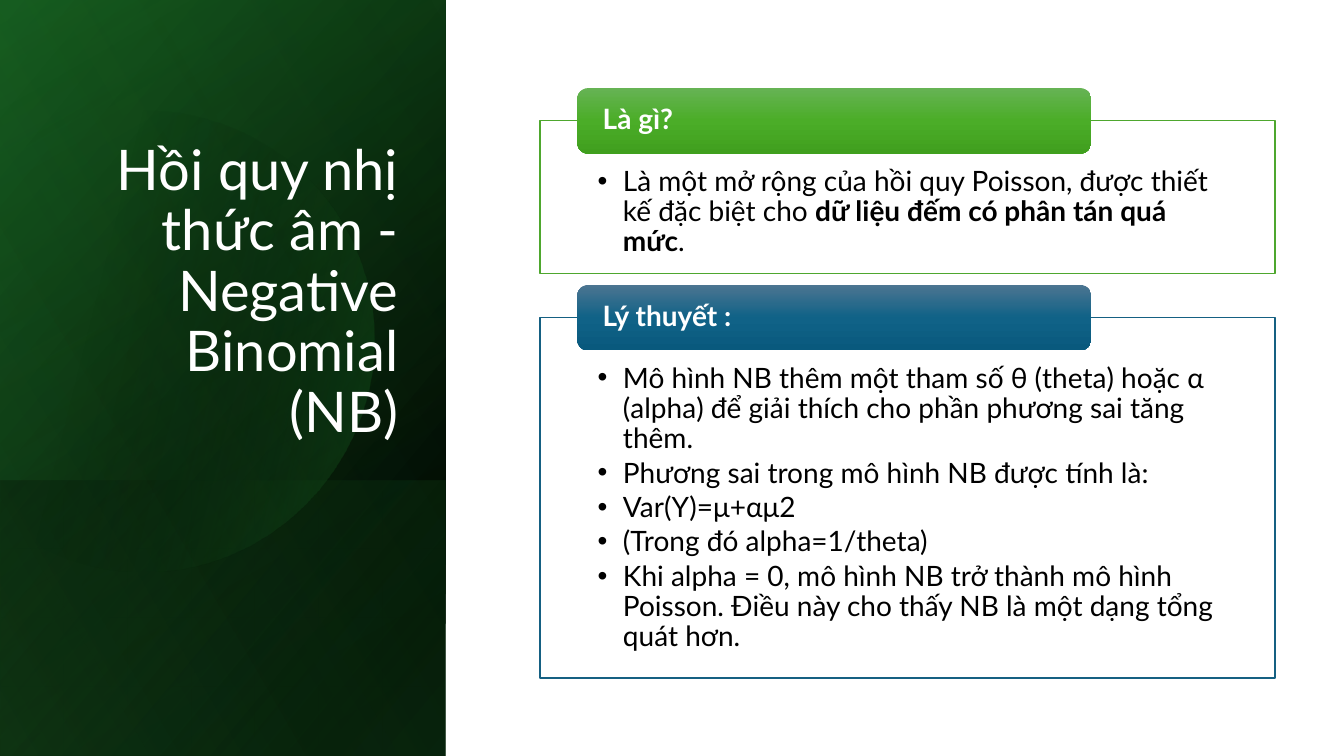
import pptx
import pptx.util
import pptx.dml.color
import pptx.enum.shapes
import pptx.enum.text
import pptx.oxml.ns
from lxml import etree
from pptx.util import Cm, Pt

SHAPES = pptx.enum.shapes.MSO_SHAPE
ALIGN = pptx.enum.text.PP_ALIGN
ANCHOR = pptx.enum.text.MSO_ANCHOR
qn = pptx.oxml.ns.qn


def color(hex_value):
    return pptx.dml.color.RGBColor.from_string(hex_value)


def bezier(p0, p1, p2, p3, steps=16):
    """Points along a cubic curve, without its start."""
    for i in range(1, steps + 1):
        t = i / steps
        u = 1 - t
        yield tuple(u**3 * a + 3 * u * u * t * b + 3 * u * t * t * c + t**3 * d
                    for a, b, c, d in zip(p0, p1, p2, p3))


class Deck:
    font = "Lato"
    white, black = "FFFFFF", "000000"

    def __init__(self):
        self.prs = pptx.Presentation()
        self.prs.slide_width, self.prs.slide_height = Cm(33.87), Cm(19.05)
        self.s = self.prs.slides.add_slide(self.prs.slide_layouts[3])

    def place(self, sp, left, top, width, height):
        sp.left, sp.top, sp.width, sp.height = map(Cm, (left, top, width, height))

    def gradient(self, sp, stops, angle):
        """Fill with stops of (position %, colour, opacity %)."""
        sp.shadow.inherit = False
        sp.line.fill.background()
        sp.fill.solid()
        grad = etree.Element(qn("a:gradFill"), rotWithShape="1")
        stop_list = etree.SubElement(grad, qn("a:gsLst"))
        for pos, rgb, opacity in stops:
            gs = etree.SubElement(stop_list, qn("a:gs"), pos=str(pos * 1000))
            clr = etree.SubElement(gs, qn("a:srgbClr"), val=rgb)
            etree.SubElement(clr, qn("a:alpha"), val=str(opacity * 1000))
        etree.SubElement(grad, qn("a:lin"), ang=str(angle * 60000), scaled="0")
        spPr = sp._element.spPr
        spPr.replace(spPr.find(qn("a:solidFill")), grad)

    def panel(self, top, height, stops, angle, flip=True):
        """A full-width layer of the left panel, turned by 90 degrees."""
        width = 11.23
        offset = (width - height) / 2
        sp = self.s.shapes.add_shape(SHAPES.RECTANGLE, Cm(offset), Cm(top - offset),
                                     Cm(height), Cm(width))
        sp.rotation = 90
        if flip:
            sp._element.spPr.xfrm.set("flipH", "1")
        self.gradient(sp, stops, angle)

    def cut_circle(self, start, curves, end, stops, angle):
        points = [start]
        for curve in curves:
            points.extend(bezier(points[-1], *curve))
        # The left edge is straight, the last curve returns to the start
        points.append(end[0])
        points.extend(bezier(*end))
        points = [(Cm(x), Cm(y)) for x, y in points]
        fb = self.s.shapes.build_freeform(*points[0])
        fb.add_line_segments(points[1:], close=True)
        self.gradient(fb.convert_to_shape(), stops, angle)

    def style(self, p, size, rgb, bold=False):
        p.font.name, p.font.size = self.font, Pt(size)
        p.font.color.rgb = color(rgb)
        p.font.bold = bold
        p.line_spacing = 0.9
        p.space_before = Pt(0)

    def to_front(self, sp):
        self.s.shapes._spTree.append(sp._element)

    def title(self, text, *box):
        sp = self.s.shapes.title
        self.place(sp, *box)
        self.to_front(sp)
        tf = sp.text_frame
        tf.text = text
        tf.word_wrap = True
        tf.auto_size = pptx.enum.text.MSO_AUTO_SIZE.NONE
        tf.vertical_anchor = ANCHOR.BOTTOM
        p = tf.paragraphs[0]
        p.alignment = ALIGN.RIGHT
        self.style(p, 40, self.white)

    def framed_list(self, idx, items, line, *box):
        """A bordered list; each item is a list of (text, bold) runs."""
        sp = self.s.placeholders[idx]
        self.place(sp, *box)
        self.to_front(sp)
        sp.fill.solid()
        sp.fill.fore_color.rgb = color(self.white)
        sp.line.color.rgb = color(line)
        sp.line.width = Pt(1)
        tf = sp.text_frame
        tf.word_wrap = True
        tf.auto_size = pptx.enum.text.MSO_AUTO_SIZE.NONE
        tf.vertical_anchor = ANCHOR.TOP
        tf.margin_left = tf.margin_right = Cm(1.45)
        tf.margin_top, tf.margin_bottom = Cm(1.17), Cm(0.41)
        for i, runs in enumerate(items):
            p = tf.add_paragraph() if i else tf.paragraphs[0]
            self.style(p, 20, self.black)
            p.space_after = Pt(3)
            for text, bold in runs:
                r = p.add_run()
                r.text = text
                if bold:
                    r.font.bold = True
            pPr = p._p.get_or_add_pPr()
            pPr.set("marL", str(Cm(0.64)))
            pPr.set("indent", str(-Cm(0.64)))
            bullet = etree.Element(qn("a:buChar"), char="•")
            pPr.find(qn("a:defRPr")).addprevious(bullet)

    def heading(self, text, colors, *box):
        sp = self.s.shapes.add_shape(SHAPES.ROUNDED_RECTANGLE, *map(Cm, box))
        self.gradient(sp, [(pos, rgb, 100) for pos, rgb in zip((0, 50, 100), colors)], 90)
        tf = sp.text_frame
        tf.word_wrap = True
        tf.vertical_anchor = ANCHOR.MIDDLE
        tf.margin_left = tf.margin_right = Cm(0.56)
        tf.margin_top = tf.margin_bottom = 0
        tf.text = text
        p = tf.paragraphs[0]
        p.alignment = ALIGN.LEFT
        self.style(p, 20, self.white, bold=True)


def main():
    deck = Deck()
    green, black = "196B24", deck.black

    # Left panel
    deck.panel(0, 19.05, [(8, black, 100), (100, "13501B", 100)], 50)
    deck.panel(0, 19.05, [(0, black, 0), (99, green, 46)], 30)
    deck.panel(12.1, 6.95, [(2, green, 29), (100, black, 30)], 130, flip=False)
    deck.cut_circle((3.78, 2.79),
                    [((6.25, 2.84), (8.51, 4.5), (9.22, 6.99)),
                     ((10.11, 10.08), (8.23, 13.28), (5.26, 14.17)),
                     ((3.33, 14.73), (1.35, 14.25), (0, 13.06))],
                    ((0, 4.09), (1.07, 3.23), (2.4, 2.79), (3.78, 2.79)),
                    [(29, black, 0), (100, green, 43)], 14)
    deck.panel(0, 19.05, [(0, black, 0), (99, "47D45A", 11)], 120)
    deck.title("Hồi quy nhị thức âm - Negative Binomial (NB)", 1.63, 4.67, 8.66, 6.65)

    # Framed sections
    definition = [[("Là một mở rộng của hồi quy Poisson, được thiết kế đặc biệt cho ", False),
                   ("dữ liệu đếm có phân tán quá mức", True), (".", False)]]
    theory = [[(text, False)] for text in (
        "Mô hình NB thêm một tham số θ (theta) hoặc α (alpha) để giải thích "
        "cho phần phương sai tăng thêm.",
        "Phương sai trong mô hình NB được tính là:",
        "Var(Y)=μ+αμ2",
        "(Trong đó alpha=1/theta)",
        "Khi alpha = 0, mô hình NB trở thành mô hình Poisson. Điều này cho thấy "
        "NB là một dạng tổng quát hơn.")]
    sections = [
        (1, "Là gì?", definition, "4EA72E", ("66B354", "4BAD28", "409F1E"), 3.04, 3.85),
        (2, "Lý thuyết :", theory, "156082", ("4C7591", "106287", "09597D"), 8.0, 9.09),
    ]
    for idx, name, items, line, colors, top, height in sections:
        deck.framed_list(idx, items, line, 13.61, top, 18.52, height)
        deck.heading(name, colors, 14.55, top - 0.82, 12.95, 1.65)

    deck.prs.save("out.pptx")


if __name__ == "__main__":
    main()
